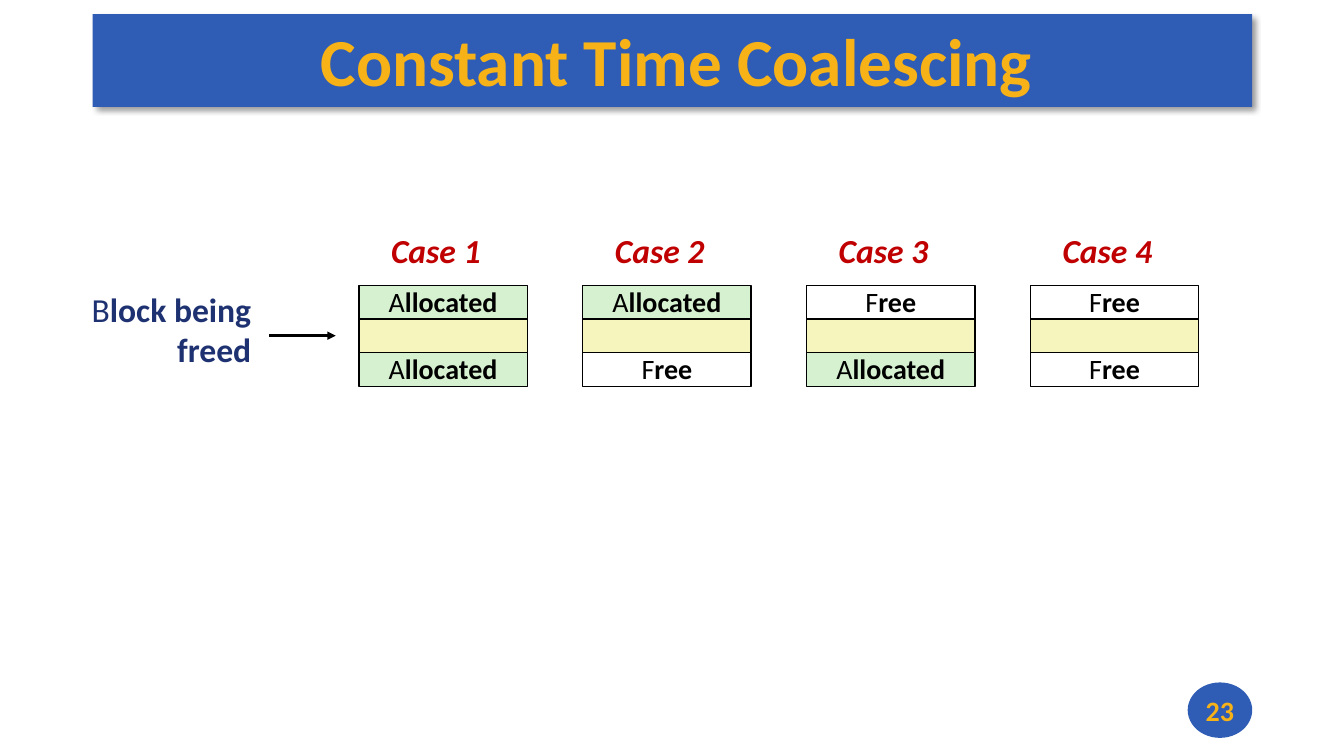
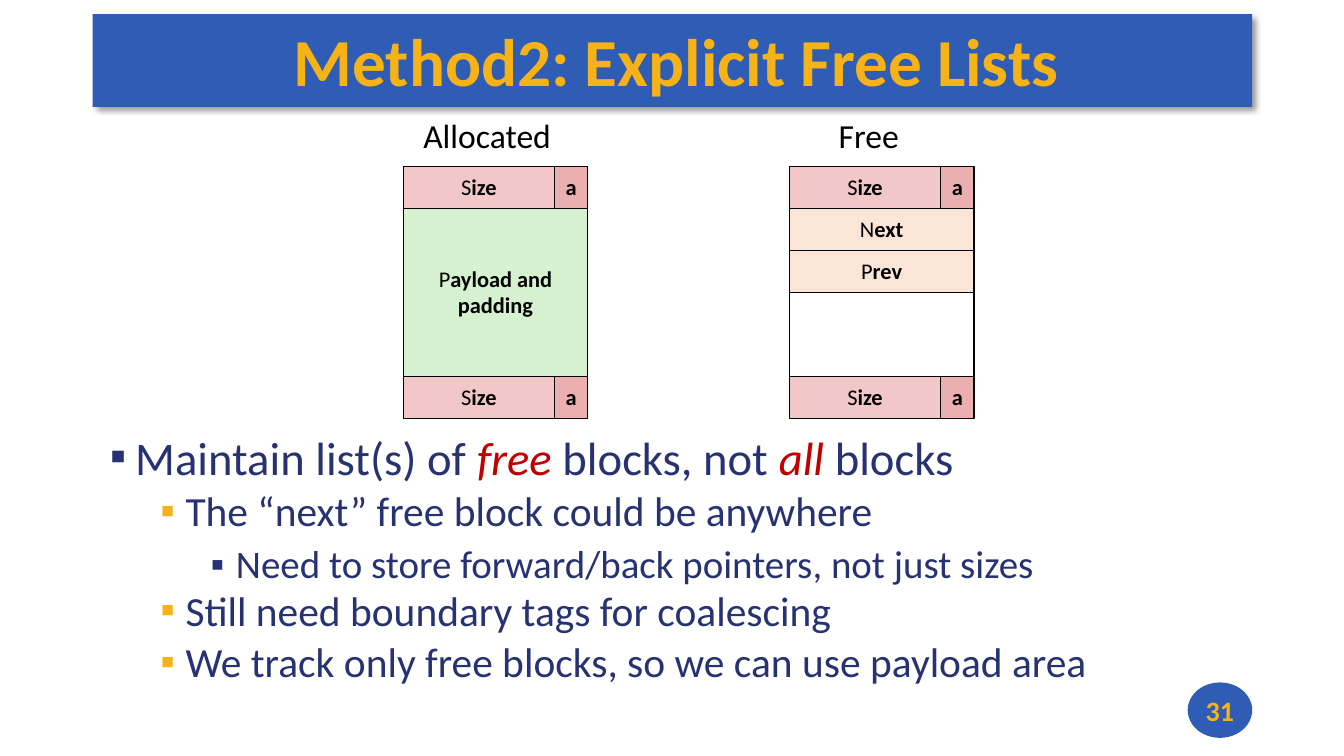
from lxml import etree
from pptx import Presentation
from pptx.dml.color import RGBColor
from pptx.enum.shapes import MSO_CONNECTOR, MSO_SHAPE
from pptx.enum.text import MSO_ANCHOR, MSO_AUTO_SIZE, PP_ALIGN
from pptx.oxml import parse_xml
from pptx.oxml.ns import nsdecls, qn
from pptx.util import Inches, Pt

FONT = "Calibri"
BLUE, GOLD, NAVY, TEXT_NAVY = "2F5CB5", "F7B217", "1E3272", "273272"
RED, BLACK, WHITE = "C00000", "000000", "FFFFFF"
GREEN, YELLOW, PEACH = "D5F1CF", "F6F5BD", "FBE5D6"
PINK, DARK_PINK = "F1C7C7", "EBAFAF"
BAND = (0.92, 0.14, 11.5, 0.92)
TITLE = (0.92, 0.13, 11.5, 0.92)
BADGE = (11.78, 6.77, 0.64, 0.55)
TITLE_ONLY, TITLE_AND_BODY = 5, 1


def color(hex_string):
    return RGBColor.from_string(hex_string)


def place(shape, box):
    shape.left, shape.top, shape.width, shape.height = map(Inches, box)


def set_font(paragraph, size, hex_string, bold=False, italic=False):
    font = paragraph.font
    font.name, font.size, font.bold, font.italic = FONT, Pt(size), bold, italic
    font.color.rgb = color(hex_string)


def add_filled(slide, box, fill, preset=MSO_SHAPE.RECTANGLE, outlined=False):
    shape = slide.shapes.add_shape(preset, *map(Inches, box))
    shape.shadow.inherit = False
    shape.fill.solid()
    shape.fill.fore_color.rgb = color(fill)
    if outlined:
        shape.line.color.rgb = color(BLACK)
        shape.line.width = Pt(1)
    else:
        shape.line.fill.background()
    return shape


def write_label(shape, text, size, hex_string=BLACK, align=PP_ALIGN.CENTER):
    """Bold text whose first letter is regular, unless it is a single letter."""
    frame = shape.text_frame
    frame.word_wrap = False
    for index, line in enumerate(text.split("\n")):
        paragraph = frame.paragraphs[0] if index == 0 else frame.add_paragraph()
        paragraph.alignment = align
        paragraph.line_spacing = 0.98
        set_font(paragraph, size, hex_string)
        plain = 1 if index == 0 and len(line) > 1 else 0
        for part, bold in ((line[:plain], False), (line[plain:], True)):
            if part:
                run = paragraph.add_run()
                run.text, run.font.bold = part, bold


def add_cell(slide, box, fill, text="", size=16):
    cell = add_filled(slide, box, fill, outlined=True)
    cell.text_frame.vertical_anchor = MSO_ANCHOR.MIDDLE
    if text:
        write_label(cell, text, size)


def add_text(slide, box, text, size, hex_string, **style):
    text_box = slide.shapes.add_textbox(*map(Inches, box))
    text_box.text_frame.word_wrap = False
    paragraph = text_box.text_frame.paragraphs[0]
    paragraph.text = text
    set_font(paragraph, size, hex_string, **style)
    return text_box


# Shared frame: title band and number badge sit on the master
def add_master_frame(presentation, slide):
    band = add_filled(slide, BAND, BLUE)
    effects = band._element.spPr.find(qn("a:effectLst"))
    effects.append(parse_xml(
        f'<a:outerShdw {nsdecls("a")} blurRad="{Pt(4)}" dist="{Pt(3)}" dir="2700000" '
        'algn="tl" rotWithShape="0"><a:srgbClr val="000000"><a:alpha val="40000"/>'
        '</a:srgbClr></a:outerShdw>'))
    badge = add_filled(slide, BADGE, BLUE, MSO_SHAPE.OVAL)
    tree = presentation.slide_master.shapes._spTree
    for offset, shape in enumerate((band, badge)):
        shape._element.nvSpPr.cNvPr.set("id", str(100 + offset))
        tree.insert(2 + offset, shape._element)


def add_slide(presentation, layout, title, number):
    slide = presentation.slides.add_slide(presentation.slide_layouts[layout])
    place(slide.shapes.title, TITLE)
    frame = slide.shapes.title.text_frame
    frame.auto_size = MSO_AUTO_SIZE.NONE
    frame.vertical_anchor = MSO_ANCHOR.MIDDLE
    frame.margin_left, frame.margin_right = Inches(0.08), 0
    frame.margin_top = frame.margin_bottom = Inches(0.03)
    frame.text = title
    frame.paragraphs[0].alignment = PP_ALIGN.CENTER
    set_font(frame.paragraphs[0], 48, GOLD, bold=True)

    number_box = add_text(slide, BADGE, str(number), 20, GOLD, bold=True)
    number_box.text_frame.vertical_anchor = MSO_ANCHOR.MIDDLE
    number_box.text_frame.paragraphs[0].alignment = PP_ALIGN.CENTER
    return slide


# Coalescing cases
def add_case(slide, left, top, name, before, after):
    width, height = 1.67, 0.335
    add_text(slide, (left + 0.22, top, 1.09, 0.5), name, 24, RED, bold=True, italic=True)
    fills = {"Allocated": GREEN, "Free": WHITE, "": YELLOW}
    for row, state in enumerate((before, "", after)):
        box = (left, top + 0.6 + row * height, width, height)
        add_cell(slide, box, fills[state], state, 20)


def add_pointer(slide, left, top):
    label = slide.shapes.add_textbox(*map(Inches, (left, top, 1.79, 0.9)))
    write_label(label, "Block being\nfreed", 24, NAVY, PP_ALIGN.RIGHT)
    start, end, middle = Inches(left + 1.87), Inches(left + 2.53), Inches(top + 0.49)
    arrow = slide.shapes.add_connector(MSO_CONNECTOR.STRAIGHT, start, middle, end, middle)
    arrow.line.color.rgb = color(BLACK)
    arrow.line.width = Pt(2)
    etree.SubElement(arrow.line._get_or_add_ln(), qn("a:tailEnd"), type="triangle")
    etree.SubElement(arrow._element.spPr, qn("a:effectLst"))


def build_coalescing(slide):
    add_pointer(slide, 0.8, 2.84)
    cases = (("Allocated", "Allocated"), ("Allocated", "Free"),
             ("Free", "Allocated"), ("Free", "Free"))
    for index, (before, after) in enumerate(cases):
        add_case(slide, 3.56 + index * 2.22, 2.23, f"Case {index + 1}", before, after)


# Heap block: boundary tags around rows of (text, fill, row count)
def add_heap_block(slide, left, top, caption, caption_box, rows):
    row_height, size_width, flag_width = 2.5 / 6, 1.5, 0.33
    offset, width = caption_box
    add_text(slide, (left + offset, top - 0.56, width, 0.5), caption, 24, BLACK)

    def add_tag(tag_top):
        add_cell(slide, (left, tag_top, size_width, row_height), PINK, "Size")
        add_cell(slide, (left + size_width, tag_top, flag_width, row_height), DARK_PINK, "a")

    add_tag(top)
    row_top = top + row_height
    for text, fill, count in rows:
        height = count * row_height
        add_cell(slide, (left, row_top, size_width + flag_width, height), fill, text)
        row_top += height
    add_tag(row_top)


# Bulleted list: (level, size, line spacing, runs); runs at odd places are emphasised
def fill_list(body, box, items):
    place(body, box)
    frame = body.text_frame
    frame.auto_size = MSO_AUTO_SIZE.NONE
    for index, (level, size, spacing, runs) in enumerate(items):
        paragraph = frame.paragraphs[0] if index == 0 else frame.add_paragraph()
        paragraph.level = level
        properties = paragraph._p.get_or_add_pPr()
        properties.set("marL", str(Inches(0.25 + 0.5 * level)))
        properties.set("indent", str(Inches(-0.25)))
        bullet_color = etree.SubElement(properties, qn("a:buClr"))
        etree.SubElement(bullet_color, qn("a:srgbClr"),
                         val=GOLD if level == 1 else TEXT_NAVY)
        etree.SubElement(properties, qn("a:buChar"), char="▪")
        paragraph.line_spacing = spacing
        paragraph.space_before = Pt(5 if index else 0)
        set_font(paragraph, size, TEXT_NAVY)
        for position, text in enumerate(runs):
            run = paragraph.add_run()
            run.text = text
            if position % 2:
                run.font.italic = True
                run.font.color.rgb = color(RED)


def build_free_lists(slide):
    fill_list(slide.placeholders[1], (0.99, 4.33, 11.31, 2.74), (
        (0, 33.3, 0.75, ("Maintain list(s) of ", "free", " blocks, not ", "all", " blocks")),
        (1, 29.6, 0.9, ("The “next” free block could be anywhere",)),
        (2, 27.8, 0.97, ("Need to store forward/back pointers, not just sizes",)),
        (1, 29.6, 0.8, ("Still need boundary tags for coalescing",)),
        (1, 29.6, 0.9, ("We track only free blocks, so we can use payload area",)),
    ))
    add_heap_block(slide, 4, 1.65, "Allocated", (0.1, 1.7),
                   [("Payload and\npadding", GREEN, 4)])
    add_heap_block(slide, 7.83, 1.65, "Free", (0.39, 0.9),
                   [("Next", PEACH, 1), ("Prev", PEACH, 1), ("", WHITE, 2)])


def main():
    presentation = Presentation()
    presentation.slide_width, presentation.slide_height = Inches(13.33), Inches(7.5)
    coalescing = add_slide(presentation, TITLE_ONLY, "Constant Time Coalescing", 23)
    add_master_frame(presentation, coalescing)
    build_coalescing(coalescing)
    free_lists = add_slide(presentation, TITLE_AND_BODY, "Method2: Explicit Free Lists", 31)
    build_free_lists(free_lists)
    presentation.save("out.pptx")


if __name__ == "__main__":
    main()
